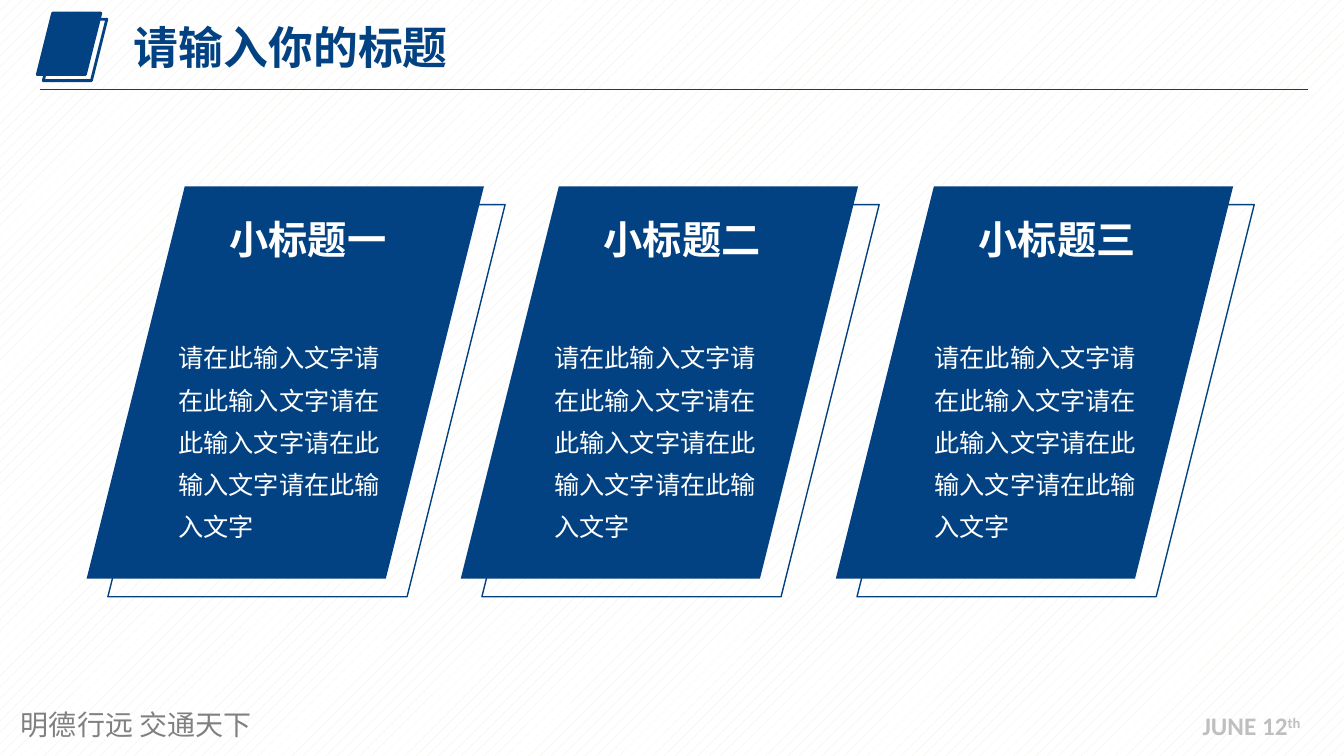
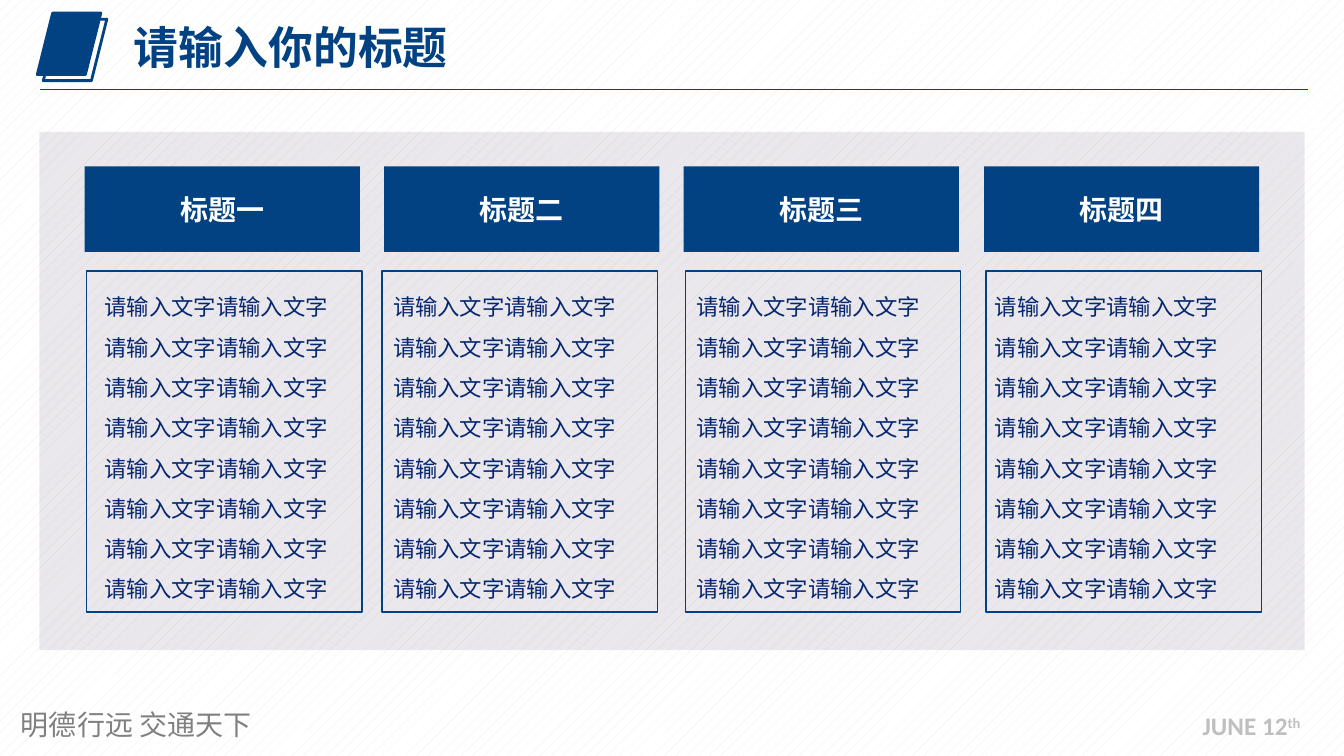
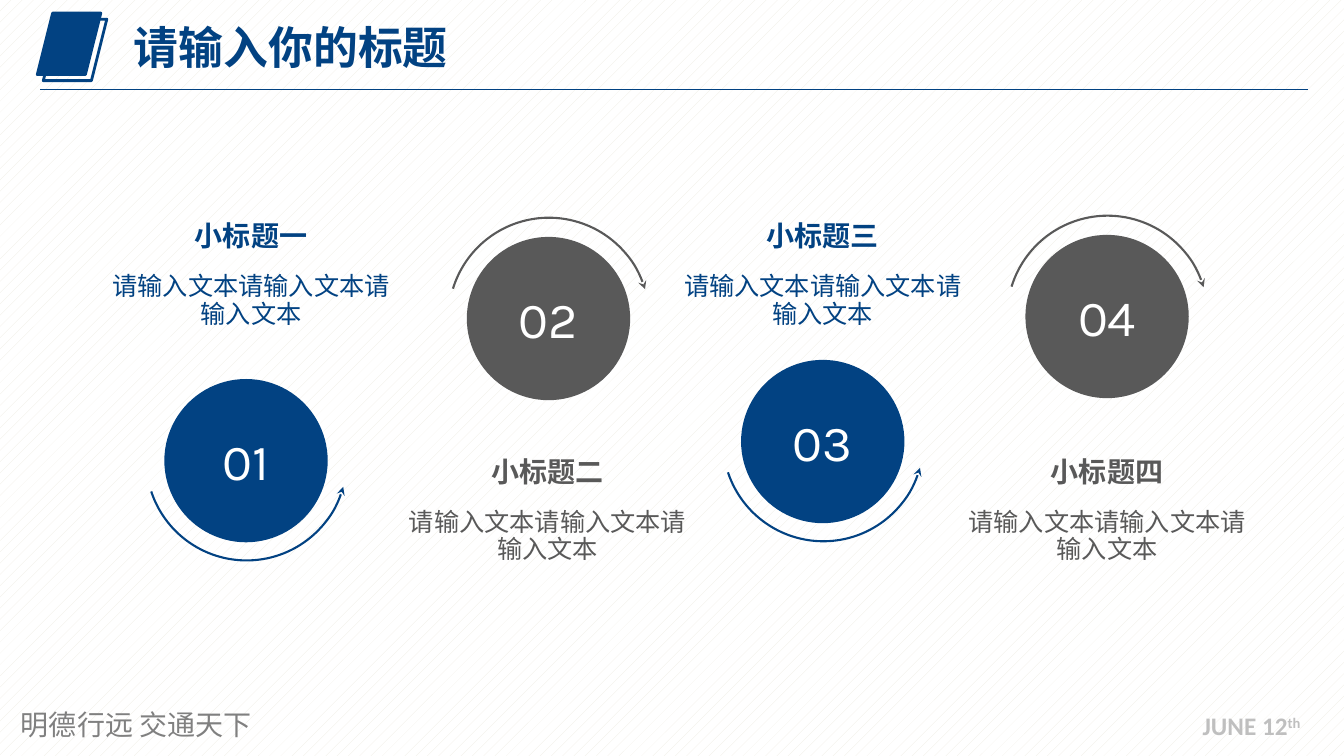
from dataclasses import dataclass

from lxml import etree
from pptx import Presentation
from pptx.dml.color import RGBColor
from pptx.enum.dml import MSO_PATTERN
from pptx.enum.shapes import MSO_CONNECTOR, MSO_SHAPE
from pptx.enum.text import MSO_ANCHOR, PP_ALIGN
from pptx.oxml.ns import qn
from pptx.util import Pt

PX = 9144
RECTANGLE = MSO_SHAPE.RECTANGLE
PARALLELOGRAM = MSO_SHAPE.PARALLELOGRAM
OVAL = MSO_SHAPE.OVAL
ARC = MSO_SHAPE.ARC
STRAIGHT = MSO_CONNECTOR.STRAIGHT
DOTS = MSO_PATTERN.PERCENT_10
LEFT = PP_ALIGN.LEFT
CENTER = PP_ALIGN.CENTER
TOP = MSO_ANCHOR.TOP
MIDDLE = MSO_ANCHOR.MIDDLE


@dataclass(frozen=True)
class Theme:
    blue: str = "024282"
    navy: str = "06276F"
    gray: str = "595959"
    white: str = "FFFFFF"
    panel: str = "36254B"
    motto: str = "808080"
    date: str = "BFBFBF"
    dots: str = "EEECE1"
    font: str = "Noto Sans CJK SC"
    motto_font: str = "Noto Sans CJK JP"
    date_font: str = "Calibri"
    number_font: str = "Karla"
    title_size: int = 32
    number_size: int = 36
    card_size: int = 28
    heading_size: int = 20
    body_size: int = 18
    list_size: int = 16


THEME = Theme()


def rgb(color):
    return RGBColor.from_string(color)


def write(frame, *lines, size, color, font=THEME.font, bold=False, align=LEFT,
          anchor=TOP, spacing=None, wrap=True, superscript=None):
    frame.word_wrap = wrap
    frame.vertical_anchor = anchor
    for index, line in enumerate(lines):
        paragraph = frame.add_paragraph() if index else frame.paragraphs[0]
        paragraph.alignment = align
        if spacing:
            paragraph.line_spacing = spacing
        for part in filter(None, (line, superscript)):
            run = paragraph.add_run()
            run.text = part
            run.font.size = Pt(size)
            run.font.bold = bold
            run.font.color.rgb = rgb(color)
            run.font.name = font
            properties = run.font._element
            etree.SubElement(properties, qn("a:ea"), typeface=font)
            if part == superscript:
                properties.set("baseline", "30000")


class Deck:
    def __init__(self, theme):
        self.theme = theme
        self.presentation = Presentation()
        self.presentation.slide_width = 1333 * PX
        self.presentation.slide_height = 750 * PX
        self.slide = None

    def new_slide(self, title):
        theme = self.theme
        self.slide = self.presentation.slides.add_slide(self.presentation.slide_layouts[6])
        backdrop = self.slide.background.fill
        backdrop.patterned()
        backdrop.pattern = DOTS
        backdrop.fore_color.rgb = rgb(theme.dots)
        backdrop.back_color.rgb = rgb(theme.white)
        self.text(11, 697, 394, 44, "明德行远 交通天下", size=theme.heading_size,
                  color=theme.motto, font=theme.motto_font)
        self.shape(PARALLELOGRAM, 37, 13, 63, 61, fill=theme.blue, line=theme.blue, weight=2)
        self.shape(PARALLELOGRAM, 43, 19, 63, 61, line=theme.blue, weight=2)
        self.rule(40, 89, 1297, 89)
        self.text(123, 21, 551, 67, title, size=theme.title_size, color=theme.blue,
                  bold=True, spacing=0.9)
        self.text(1183, 700, 120, 40, "JUNE 12", size=theme.body_size, color=theme.date,
                  font=theme.date_font, bold=True, wrap=False, superscript="th")

    def text(self, left, top, width, height, *lines, **style):
        box = self.slide.shapes.add_textbox(left * PX, top * PX, width * PX, height * PX)
        write(box.text_frame, *lines, **style)

    def shape(self, preset, left, top, width, height, fill=None, line=None, weight=1, opacity=100):
        shape = self.slide.shapes.add_shape(preset, left * PX, top * PX, width * PX, height * PX)
        shape.shadow.inherit = False
        if fill:
            shape.fill.solid()
            shape.fill.fore_color.rgb = rgb(fill)
            if opacity < 100:
                tint = shape._element.spPr.find(".//" + qn("a:srgbClr"))
                etree.SubElement(tint, qn("a:alpha"), val=str(opacity * 1000))
        else:
            shape.fill.background()
        if line:
            shape.line.color.rgb = rgb(line)
            shape.line.width = Pt(weight)
        else:
            shape.line.fill.background()
        return shape

    def rule(self, x1, y1, x2, y2):
        rule = self.slide.shapes.add_connector(STRAIGHT, x1 * PX, y1 * PX, x2 * PX, y2 * PX)
        rule.line.color.rgb = rgb(self.theme.blue)
        rule.line.width = Pt(0.75)
        etree.SubElement(rule._element.spPr, qn("a:effectLst"))

    def arc_arrow(self, left, top, size, color, rotation, flipped):
        arc = self.shape(ARC, left, top, size, size, line=color, weight=1.5)
        arc.adjustments[0] = 145.86
        arc.adjustments[1] = 17.63
        arc.rotation = rotation
        if flipped:
            arc._element.spPr.xfrm.set("flipH", "1")
        etree.SubElement(arc.line._get_or_add_ln(), qn("a:headEnd"), type="stealth")

    def card(self, left, body_left, heading, body):
        theme = self.theme
        self.shape(PARALLELOGRAM, left + 21, 203, 394, 389, line=theme.blue)
        self.shape(PARALLELOGRAM, left, 185, 394, 389, fill=theme.blue)
        self.text(left + 132, 209, 207, 57, heading, size=theme.card_size,
                  color=theme.white, bold=True)
        self.text(body_left, 323, 223, 260, body, size=theme.body_size,
                  color=theme.white, spacing=1.4)

    def column(self, left, frame_left, list_left, heading, lines):
        theme = self.theme
        header = self.shape(RECTANGLE, left, 165, 273, 85, fill=theme.blue)
        write(header.text_frame, heading, size=theme.heading_size, color=theme.white,
              bold=True, align=CENTER, anchor=MIDDLE)
        self.shape(RECTANGLE, frame_left, 269, 273, 338, line=theme.blue)
        self.text(list_left, 273, 263, 328, *lines, size=theme.list_size,
                  color=theme.navy, spacing=1.5)

    def step(self, number, heading, body, circle, caption, raised):
        theme = self.theme
        color = theme.gray if raised else theme.blue
        left, top = circle
        disc = self.shape(OVAL, left, top, 162, 162, fill=color)
        write(disc.text_frame, number, size=theme.number_size, color=theme.white,
              font=theme.number_font, align=CENTER, anchor=MIDDLE)
        self.arc_arrow(left - 18, top - 19, 199, color, 46.4 if raised else 132.4, raised)
        left, top = caption
        self.text(left + 60, top - 51, 178, 48, heading, size=theme.heading_size,
                  color=color, bold=True, align=CENTER, spacing=0.9)
        self.text(left, top, 298, 78, body, size=theme.body_size, color=color,
                  align=CENTER, spacing=0.9)


def main():
    deck = Deck(THEME)
    title = "请输入你的标题"
    numerals = "一二三四"

    deck.new_slide(title)
    for index, body_left in enumerate((167, 540, 917)):
        deck.card(86 + 743 * index // 2, body_left, "小标题" + numerals[index],
                  "请在此输入文字" * 5)

    deck.new_slide(title)
    deck.shape(RECTANGLE, 39, 131, 1255, 514, fill=THEME.panel, opacity=10)
    columns = ((86, 94), (379, 380), (680, 681), (978, 977))
    for index, (frame_left, list_left) in enumerate(columns):
        deck.column(84 + 892 * index // 3, frame_left, list_left, "标题" + numerals[index],
                    ["请输入文字" * 2] * 8)

    deck.new_slide(title)
    steps = (
        ((163, 376), (100, 267)),
        ((463, 235), (394, 501)),
        ((735, 357), (667, 267)),
        ((1017, 233), (949, 501)),
    )
    for index, (circle, caption) in enumerate(steps):
        deck.step(f"{index + 1:02d}", "小标题" + numerals[index], "请输入文本" * 3,
                  circle, caption, raised=index % 2 == 1)

    deck.presentation.save("out.pptx")


if __name__ == "__main__":
    main()
